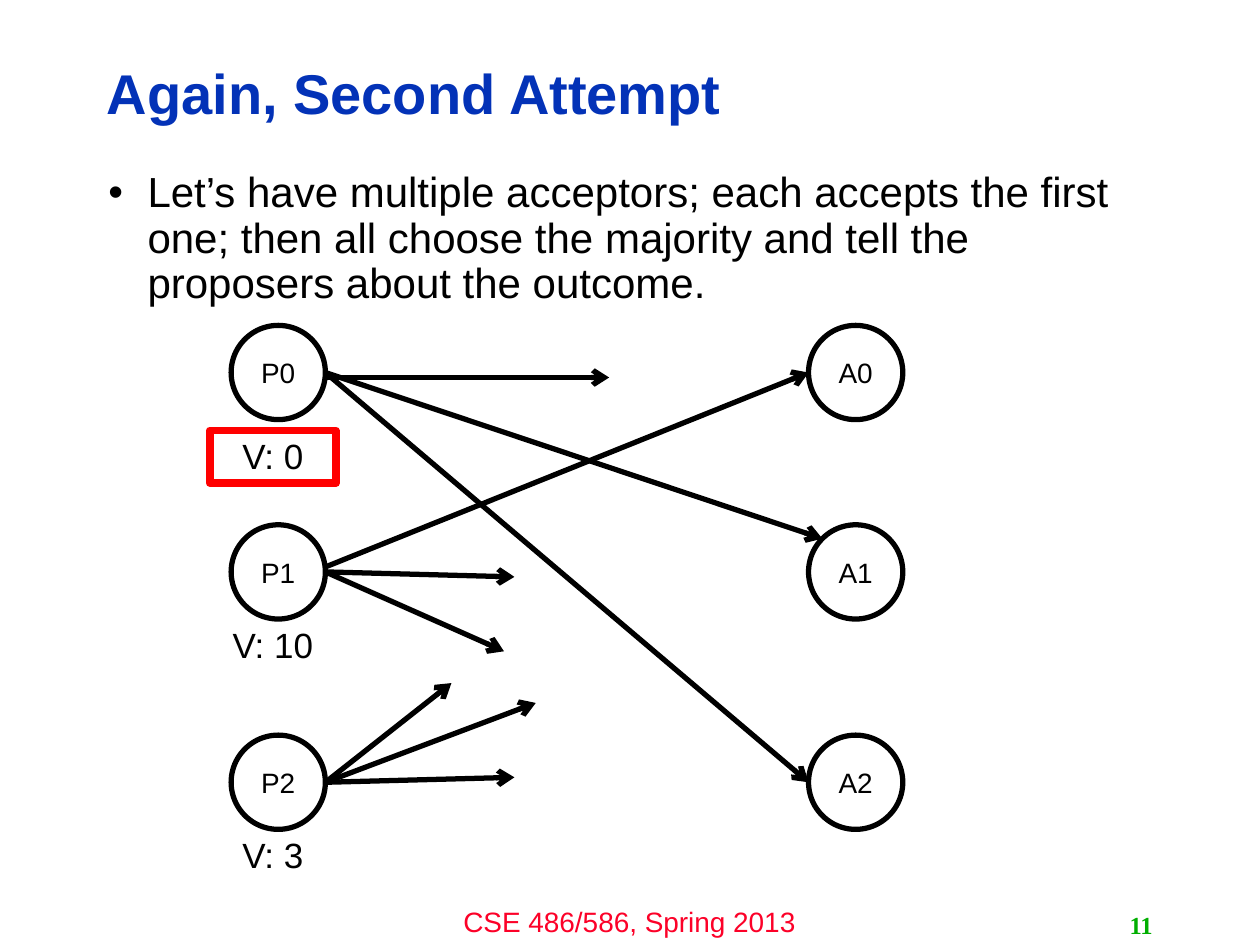
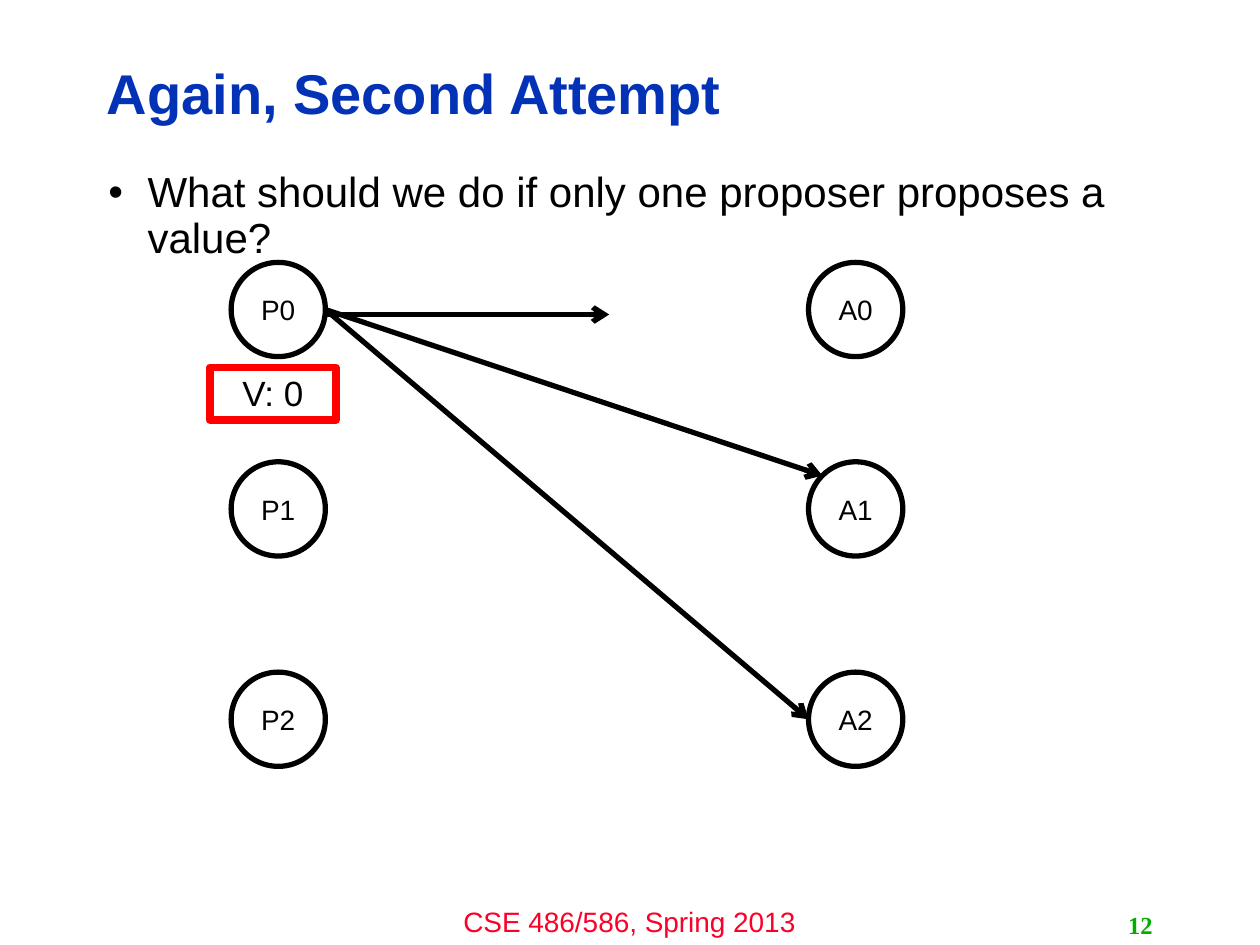
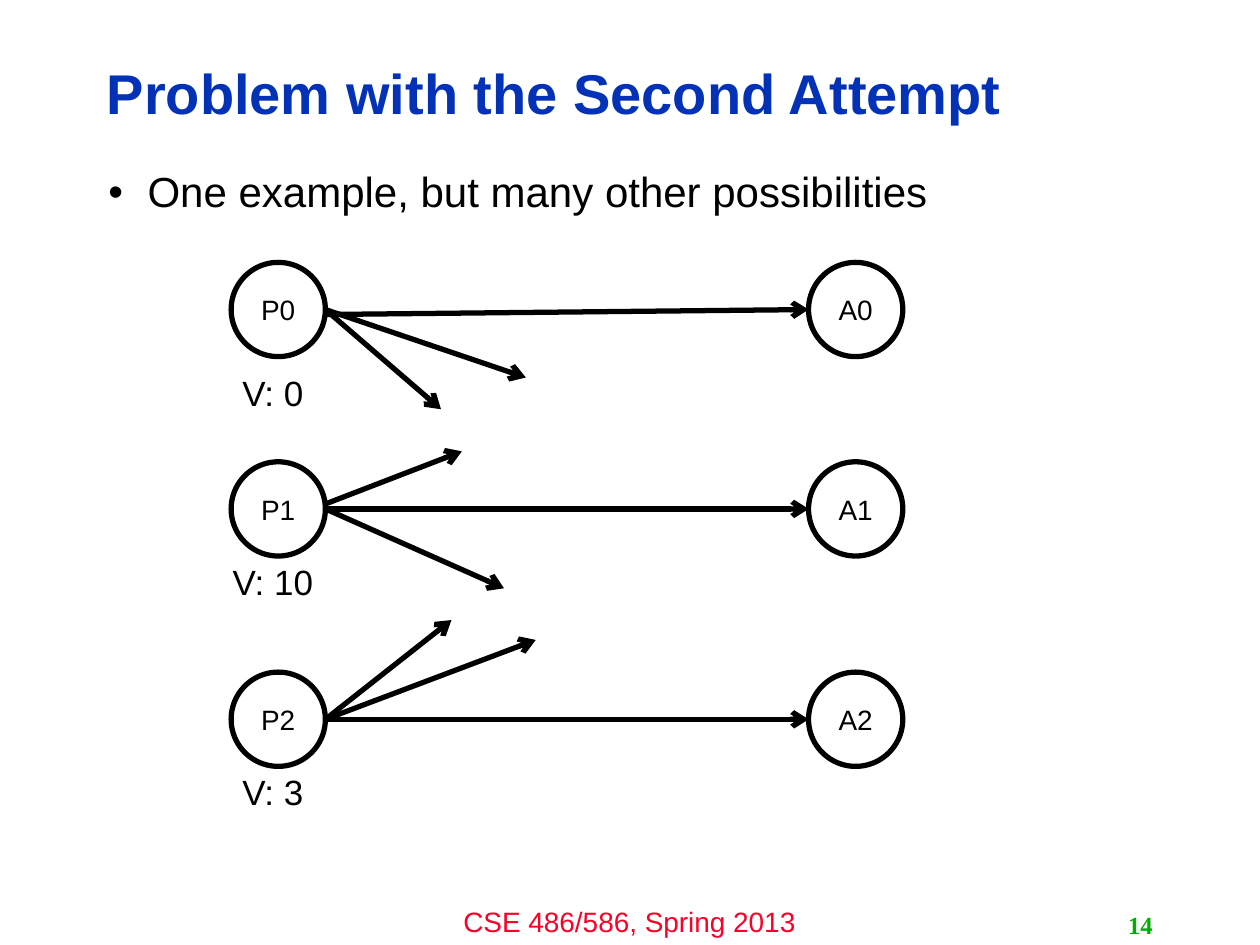
import math
from dataclasses import dataclass

from pptx import Presentation
from pptx import util as u
from pptx.dml.color import RGBColor
from pptx.enum import shapes, text
from pptx.oxml import ns
from lxml import etree

Cm, Pt = u.Cm, u.Pt


@dataclass(frozen=True)
class Theme:
    sans: str = "Arial"
    serif: str = "Times New Roman"
    title: str = "0332B7"
    ink: str = "000000"
    paper: str = "FFFFFF"
    footer: str = "FC0128"
    number: str = "00AE00"
    highlight: str = "FF0000"
    title_size: int = 32
    body_size: int = 24
    value_size: int = 20
    small_size: int = 16
    number_size: int = 14
    stroke: float = 3
    highlight_stroke: float = 4.5


THEME = Theme()
FOOTER = "CSE 486/586, Spring 2013"

TO_A0 = ("A0", "left")
TO_A1 = ("A1", "left")
TO_A1_CORNER = ("A1", "upper left")
TO_A2 = ("A2", "left")

# message: proposer, vertical shift of its start, then acceptor port or (dx, dy) where it is lost
SLIDES = [
    dict(
        title="Again, Second Attempt",
        point="Let’s have multiple acceptors; each accepts the first one; then all "
              "choose the majority and tell the proposers about the outcome.",
        number="11",
        top=6.56,
        values=["V: 0", "V: 10", "V: 3"],
        chosen=True,
        messages=[
            ("P0", 0.1, (5.72, 0.1)), ("P0", 0, TO_A1_CORNER), ("P0", 0, TO_A2),
            ("P1", -0.1, TO_A0), ("P1", 0, (3.81, 0.1)), ("P1", 0, (3.6, 1.6)),
            ("P2", 0, (2.54, -2)), ("P2", 0, (4.24, -1.6)), ("P2", 0, (3.81, -0.1)),
        ],
    ),
    dict(
        title="Again, Second Attempt",
        point="What should we do if only one proposer proposes a value?",
        number="12",
        top=5.29,
        values=["V: 0"],
        chosen=True,
        messages=[
            ("P0", 0.1, (5.72, 0.1)), ("P0", 0, TO_A1_CORNER), ("P0", 0, TO_A2),
        ],
    ),
    dict(
        title="Problem with the Second Attempt",
        point="One example, but many other possibilities",
        number="14",
        top=5.29,
        values=["V: 0", "V: 10", "V: 3"],
        chosen=False,
        messages=[
            ("P0", 0.1, TO_A0), ("P0", 0, (4.04, 1.37)), ("P0", 0, (2.33, 2.01)),
            ("P1", -0.1, (2.75, -1.16)), ("P1", 0, TO_A1), ("P1", 0, (3.6, 1.6)),
            ("P2", 0, (2.54, -2)), ("P2", 0, (4.24, -1.6)), ("P2", 0, TO_A2),
        ],
    ),
]

DIAMETER = 1.9
COLUMNS = {"P": 4.66, "A": 16.3}
ROWS = [0, 4.02, 8.26]
VALUE_DROPS = [2.07, 1.86, 1.86]
PORTS = {"right": 0, "left": 180, "upper left": 225}


def place(part, left, top, width, height):
    part.left, part.top, part.width, part.height = map(Cm, (left, top, width, height))


def write(part, words, size, color, align, font=THEME.sans, bold=False,
          anchor=text.MSO_ANCHOR.TOP):
    frame = part.text_frame
    frame.word_wrap = True
    frame.auto_size = text.MSO_AUTO_SIZE.NONE
    frame.vertical_anchor = anchor
    frame.text = words
    paragraph = frame.paragraphs[0]
    paragraph.alignment = align
    paragraph.font.name = font
    paragraph.font.size = Pt(size)
    paragraph.font.bold = bold
    paragraph.font.color.rgb = RGBColor.from_string(color)
    return paragraph


def add_label(slide, box, words, size, color, align=text.PP_ALIGN.CENTER, **style):
    label = slide.shapes.add_textbox(*map(Cm, box))
    write(label, words, size, color, align, **style)


def outline(line, color, width):
    line.color.rgb = RGBColor.from_string(color)
    line.width = Pt(width)


def add_frame(slide, top):
    chosen = slide.shapes.add_shape(
        shapes.MSO_SHAPE.RECTANGLE, Cm(4.23), Cm(top), Cm(2.54), Cm(1.06))
    chosen.shadow.inherit = False
    chosen.fill.background()
    outline(chosen.line, THEME.highlight, THEME.highlight_stroke)


def add_node(slide, name, left, top):
    node = slide.shapes.add_shape(
        shapes.MSO_SHAPE.OVAL, Cm(left), Cm(top), Cm(DIAMETER), Cm(DIAMETER))
    node.shadow.inherit = False
    node.fill.solid()
    node.fill.fore_color.rgb = RGBColor.from_string(THEME.paper)
    outline(node.line, THEME.ink, THEME.stroke)
    write(node, name, THEME.small_size, THEME.ink, text.PP_ALIGN.CENTER,
          anchor=text.MSO_ANCHOR.MIDDLE)


def add_arrow(slide, start, end):
    arrow = slide.shapes.add_connector(
        shapes.MSO_CONNECTOR.STRAIGHT, *map(Cm, (*start, *end)))
    outline(arrow.line, THEME.ink, THEME.stroke)
    etree.SubElement(arrow.get_or_add_ln(), ns.qn("a:tailEnd"), type="arrow")
    etree.SubElement(arrow.element.spPr, ns.qn("a:effectLst"))


def port(corner, side):
    angle = math.radians(PORTS[side])
    radius = DIAMETER / 2
    return (corner[0] + radius * (1 + math.cos(angle)),
            corner[1] + radius * (1 + math.sin(angle)))


def add_diagram(slide, content):
    top = content["top"]
    corners = {f"{role}{i}": (left, top + row)
               for role, left in COLUMNS.items() for i, row in enumerate(ROWS)}
    for name, corner in corners.items():
        add_node(slide, name, *corner)
    for value, row, drop in zip(content["values"], ROWS, VALUE_DROPS):
        add_label(slide, (4.02, top + row + drop, 2.96, 1.12), value,
                  THEME.value_size, THEME.ink)
    for proposer, shift, (target, offset) in content["messages"]:
        x, y = port(corners[proposer], "right")
        end = port(corners[target], offset) if target in corners else (x + target, y + offset)
        add_arrow(slide, (x, y + shift), end)
    if content["chosen"]:
        add_frame(slide, top + 2.12)


def add_text(slide, content):
    title, body = slide.shapes.title, slide.placeholders[1]
    place(title, 1.9, 0.91, 20.27, 2.06)
    heading = write(title, content["title"], THEME.title_size, THEME.title,
                    text.PP_ALIGN.LEFT, bold=True, anchor=text.MSO_ANCHOR.MIDDLE)
    place(body, 1.93, 3.33, 21.34, 13.69)
    point = write(body, content["point"], THEME.body_size, THEME.ink, text.PP_ALIGN.LEFT)
    heading.line_spacing = point.line_spacing = 0.9
    indent = Cm(0.79)
    properties = point._p.get_or_add_pPr()
    properties.set("marL", str(indent))
    properties.set("indent", str(-indent))
    add_label(slide, (8.46, 18.11, 8.46, 0.94), FOOTER, THEME.small_size, THEME.footer)
    add_label(slide, (18.21, 18.24, 5.28, 0.81), content["number"], THEME.number_size,
              THEME.number, text.PP_ALIGN.RIGHT, font=THEME.serif, bold=True,
              anchor=text.MSO_ANCHOR.MIDDLE)


deck = Presentation()
deck.slide_width, deck.slide_height = Cm(25.4), Cm(19.05)
for content in SLIDES:
    slide = deck.slides.add_slide(deck.slide_layouts[1])
    add_text(slide, content)
    add_diagram(slide, content)
deck.save("out.pptx")
